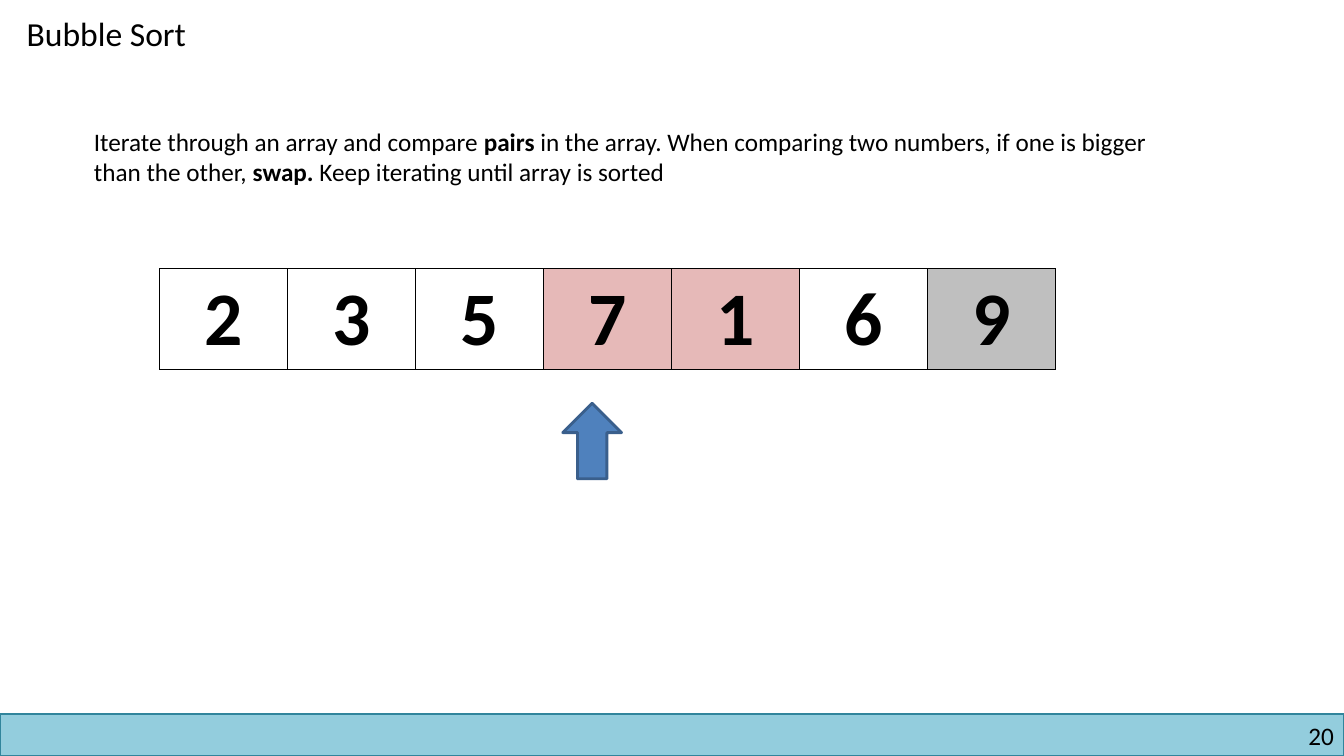
from dataclasses import dataclass

from lxml.etree import SubElement
from pptx import Presentation
from pptx.dml.color import RGBColor
from pptx.enum.shapes import MSO_SHAPE as Preset
from pptx.enum.text import MSO_AUTO_SIZE as AutoSize, PP_ALIGN as Align
from pptx.oxml.ns import qn
from pptx.slide import Slide
from pptx.text.text import _Paragraph as Paragraph
from pptx.util import Inches, Length, Pt

COLUMNS, ROWS = 160, 90
UNIT = Inches(1) / 12  # side of one grid square
FONT = "Calibri"
COLORS = {
    "ink": "000000",
    "plain": "FFFFFF",
    "compared": "E6B9B8",
    "sorted": "BFBFBF",
    "band": "93CDDD",
    "band_edge": "31859C",
    "arrow": "4F81BD",
    "arrow_edge": "3A5F8C",
}


@dataclass(frozen=True)
class Area:
    """Place on the slide, in grid columns and rows."""
    column: float
    row: float
    columns: float
    rows: float

    def box(self) -> tuple[Length, ...]:
        return tuple(grid(n) for n in (self.column, self.row, self.columns, self.rows))


@dataclass(frozen=True)
class Phrase:
    text: str
    bold: bool = False


@dataclass(frozen=True)
class Caption:
    area: Area
    phrases: tuple[Phrase, ...]
    size: int = 18
    align: Align = Align.LEFT
    wrap: bool = True
    inset: bool = True


@dataclass(frozen=True)
class Figure:
    area: Area
    preset: Preset
    fill: str
    edge: str
    edge_width: float


@dataclass(frozen=True)
class Element:
    value: int
    state: str = "plain"


FIGURES = (
    Figure(Area(0, 85, COLUMNS, 5), Preset.RECTANGLE, "band", "band_edge", 1),
    Figure(Area(67, 48, 7, 9), Preset.UP_ARROW, "arrow", "arrow_edge", 2),
)
CAPTIONS = (
    Caption(Area(122, 85.8, 36.8, 3.6), (Phrase("20"),), align=Align.RIGHT, inset=False),
    Caption(Area(2, 1, 23.5, 6), (Phrase("Bubble Sort"),), size=24, wrap=False),
    Caption(Area(10, 14.4, 133, 8.5), (
        Phrase("Iterate through an array and compare "),
        Phrase("pairs", bold=True),
        Phrase(" in the array. When comparing two numbers, "
               "if one is bigger than the other, "),
        Phrase("swap. ", bold=True),
        Phrase("Keep iterating until array is sorted"),
    )),
)
ARRAY_AREA = Area(19, 32, 106.68, 12)
ARRAY = (
    Element(2), Element(3), Element(5),
    Element(7, "compared"), Element(1, "compared"),
    Element(6), Element(9, "sorted"),
)


def grid(squares: float) -> Length:
    return Length(round(squares * UNIT))


def color(name: str) -> RGBColor:
    return RGBColor.from_string(COLORS[name])


def add_phrase(paragraph: Paragraph, phrase: Phrase, size: int) -> None:
    run = paragraph.add_run()
    run.text = phrase.text
    run.font.name = FONT
    run.font.size = Pt(size)
    run.font.bold = phrase.bold
    run.font.color.rgb = color("ink")


def add_caption(slide: Slide, caption: Caption) -> None:
    frame = slide.shapes.add_textbox(*caption.area.box()).text_frame
    frame.word_wrap = caption.wrap
    frame.auto_size = AutoSize.SHAPE_TO_FIT_TEXT
    if not caption.inset:
        frame.margin_left = frame.margin_right = 0
        frame.margin_top = frame.margin_bottom = 0
    paragraph = frame.paragraphs[0]
    paragraph.alignment = caption.align
    for phrase in caption.phrases:
        add_phrase(paragraph, phrase, caption.size)


def add_figure(slide: Slide, figure: Figure) -> None:
    shape = slide.shapes.add_shape(figure.preset, *figure.area.box())
    shape.shadow.inherit = False
    shape.fill.solid()
    shape.fill.fore_color.rgb = color(figure.fill)
    shape.line.color.rgb = color(figure.edge)
    shape.line.width = Pt(figure.edge_width)


def add_array(slide: Slide, area: Area, elements: tuple[Element, ...]) -> None:
    table = slide.shapes.add_table(1, len(elements), *area.box()).table
    table.first_row = table.horz_banding = False
    for index, element in enumerate(elements):
        table.columns[index].width = grid(area.columns / len(elements))
        cell = table.cell(0, index)
        properties = cell._tc.get_or_add_tcPr()
        for side in ("a:lnL", "a:lnR", "a:lnT", "a:lnB"):
            border = SubElement(properties, qn(side), w=str(Pt(1)))
            SubElement(SubElement(border, qn("a:solidFill")),
                       qn("a:srgbClr"), val=COLORS["ink"])
        cell.fill.solid()
        cell.fill.fore_color.rgb = color(element.state)
        paragraph = cell.text_frame.paragraphs[0]
        paragraph.alignment = Align.CENTER
        add_phrase(paragraph, Phrase(str(element.value), bold=True), size=54)


def main() -> None:
    deck = Presentation()
    deck.slide_width, deck.slide_height = grid(COLUMNS), grid(ROWS)
    slide = deck.slides.add_slide(deck.slide_layouts[6])
    for figure in FIGURES:
        add_figure(slide, figure)
    for caption in CAPTIONS:
        add_caption(slide, caption)
    add_array(slide, ARRAY_AREA, ARRAY)
    deck.save("out.pptx")


if __name__ == "__main__":
    main()
